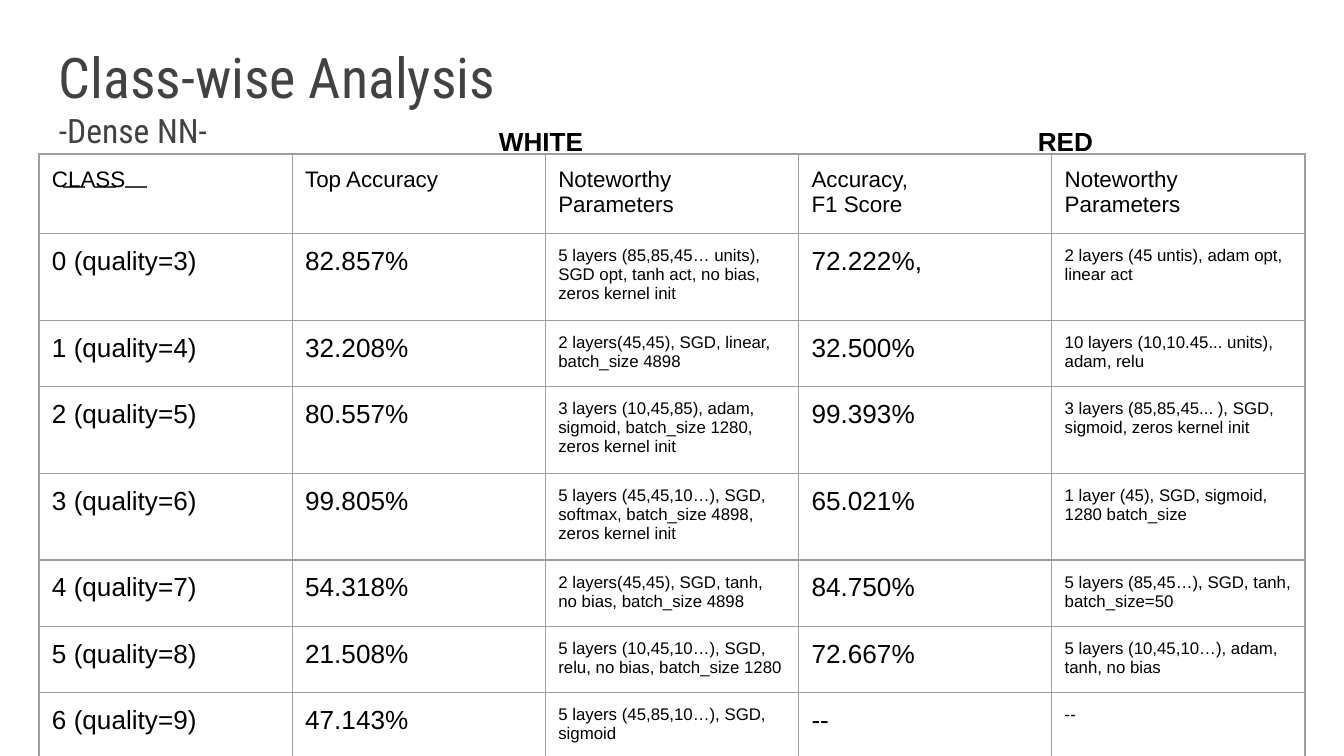
from dataclasses import dataclass

from lxml import etree
from pptx import Presentation
from pptx import util as u
from pptx.dml.color import RGBColor
from pptx.enum import dml, shapes, text
from pptx.oxml import ns


@dataclass(frozen=True)
class Theme:
    """Colours, fonts and type sizes of the slide."""
    heading: str = "424242"
    body: str = "000000"
    border: str = "9E9E9E"
    heading_font: str = "Roboto Condensed"
    body_font: str = "Arial"
    title: int = 30
    subtitle: int = 18
    label: int = 14
    header: int = 12
    detail: int = 9


T = Theme()
INSET = 13
HEADER = ["CLASS", "Top Accuracy", "Noteworthy Parameters", "Accuracy,\nF1 Score", "Noteworthy Parameters"]
RESULTS = [
    ["0 (quality=3)", "82.857%", "5 layers (85,85,45… units), SGD opt, tanh act, no bias, zeros kernel init",
     "72.222%,", "2 layers (45 untis), adam opt, linear act"],
    ["1 (quality=4)", "32.208%", "2 layers(45,45), SGD, linear, batch_size 4898",
     "32.500%", "10 layers (10,10.45... units), adam, relu"],
    ["2 (quality=5)", "80.557%", "3 layers (10,45,85), adam, sigmoid, batch_size 1280, zeros kernel init",
     "99.393%", "3 layers (85,85,45... ), SGD, sigmoid, zeros kernel init"],
    ["3 (quality=6)", "99.805%", "5 layers (45,45,10…), SGD, softmax, batch_size 4898, zeros kernel init",
     "65.021%", "1 layer (45), SGD, sigmoid, 1280 batch_size"],
    ["4 (quality=7)", "54.318%", "2 layers(45,45), SGD, tanh, no bias, batch_size 4898",
     "84.750%", "5 layers (85,45…), SGD, tanh, batch_size=50"],
    ["5 (quality=8)", "21.508%", "5 layers (10,45,10…), SGD, relu, no bias, batch_size 1280",
     "72.667%", "5 layers (10,45,10…), adam, tanh, no bias"],
    ["6 (quality=9)", "47.143%", "5 layers (45,85,10…), SGD, sigmoid", "--", "--"],
]


def px(n):
    """Turn pixels into EMU."""
    return u.Emu(round(n * 914400 / 134.4))


def write(tf, content, sizes, font=T.body_font, color=T.body, bold=False, align=text.PP_ALIGN.LEFT):
    """Write one paragraph per line, with one size for each."""
    for i, (line, size) in enumerate(zip(content.split("\n"), sizes)):
        p = tf.paragraphs[0] if i == 0 else tf.add_paragraph()
        p.alignment = align
        r = p.add_run()
        r.text = line
        r.font.name, r.font.size, r.font.bold = font, u.Pt(size), bold
        r.font.color.rgb = RGBColor.from_string(color)


def add_text(s, box, content, sizes, anchor=text.MSO_ANCHOR.TOP, **fmt):
    """Add a wrapped text box."""
    tf = s.shapes.add_textbox(*map(px, box)).text_frame
    tf.word_wrap, tf.vertical_anchor = True, anchor
    tf.margin_left = tf.margin_right = tf.margin_top = tf.margin_bottom = px(INSET)
    write(tf, content, sizes, **fmt)


def add_rule(s, x, y, w):
    """Add the dashed rule."""
    c = s.shapes.add_connector(shapes.MSO_CONNECTOR.STRAIGHT, px(x), px(y), px(x + w), px(y))
    c.line.color.rgb = RGBColor.from_string(T.heading)
    c.line.width = u.Pt(1.5)
    c.line.dash_style = dml.MSO_LINE.LONG_DASH
    etree.SubElement(c._element.spPr, ns.qn("a:effectLst"))


def add_heading(s, x, y, w, h):
    """Add the title and subtitle with the rule below them."""
    add_rule(s, x + 17, y + h + 24, 90)
    add_text(s, (x, y, w, h), "Class-wise Analysis\n-Dense NN-", (T.title, T.subtitle),
             anchor=text.MSO_ANCHOR.BOTTOM, font=T.heading_font, color=T.heading)


def style_cell(cell):
    """Clear the fill of a cell and draw its four borders."""
    cell.margin_left = cell.margin_right = cell.margin_top = cell.margin_bottom = px(INSET)
    cell.fill.background()
    tcPr = cell._tc.get_or_add_tcPr()
    for i, side in enumerate(("lnL", "lnR", "lnT", "lnB")):
        ln = etree.Element(ns.qn("a:" + side), w=str(u.Pt(0.75)))
        fill = etree.SubElement(ln, ns.qn("a:solidFill"))
        etree.SubElement(fill, ns.qn("a:srgbClr"), val=T.border)
        tcPr.insert(i, ln)


def add_results(s, x, y, w, row_h):
    """Add the table of results for each class."""
    rows = [HEADER] + RESULTS
    table = s.shapes.add_table(len(rows), len(HEADER), px(x), px(y), px(w), px(row_h * len(rows))).table
    table.first_row = table.horz_banding = False
    for i, row in enumerate(rows):
        for j, value in enumerate(row):
            cell = table.cell(i, j)
            style_cell(cell)
            size = T.header if i == 0 else T.detail if j in (2, 4) else T.label
            write(cell.text_frame, value, (size, size))


def add_group_labels(s, y):
    """Add the labels above the two groups of columns."""
    for label, x, w, h in (("RED", 868, 395, 60), ("WHITE", 367, 348, 63)):
        add_text(s, (x, y, w, h), label, (T.label,), bold=True, align=text.PP_ALIGN.CENTER)


def main():
    """Build the slide and save it."""
    prs = Presentation()
    prs.slide_width, prs.slide_height = px(1344), px(756)
    s = prs.slides.add_slide(prs.slide_layouts[6])
    add_heading(s, 46, 55, 1253, 108)
    add_results(s, 39, 154, 1266, 57)
    add_group_labels(s, 112)
    prs.save("out.pptx")


main()
